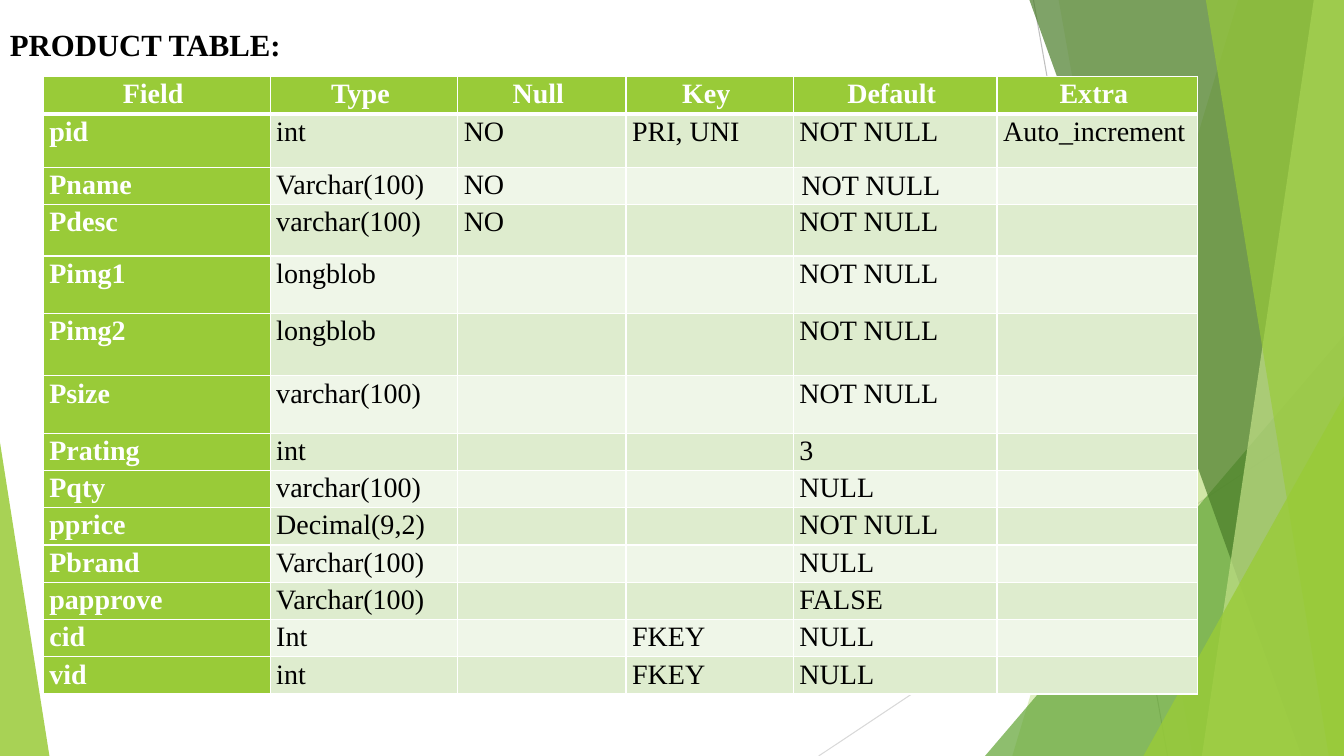
from lxml.etree import SubElement
from pptx import Presentation
from pptx.dml.color import RGBColor
from pptx.enum.shapes import MSO_CONNECTOR as CONNECTOR, MSO_SHAPE as SHAPE
from pptx.enum.text import MSO_ANCHOR as ANCHOR, PP_ALIGN as ALIGN
from pptx.oxml.ns import qn
from pptx.util import Inches, Pt

WIDTH, HEIGHT = 13.33, 7.5
FONT = "Times New Roman"
WHITE, BLACK, LIME = "FFFFFF", "000000", "99CB38"
BANDS = ["EFF6E8", "DEECCE"]

TITLE = "PRODUCT TABLE:"
HEADER = ["Field", "Type", "Null", "Key", "Default", "Extra"]
FIELDS = [
    ["pid", "int", "NO", "PRI, UNI", "NOT NULL", "Auto_increment"],
    ["Pname", "Varchar(100)", "NO", "", "", ""],
    ["Pdesc", "varchar(100)", "NO", "", "NOT NULL", ""],
    ["Pimg1", "longblob", "", "", "NOT NULL", ""],
    ["Pimg2", "longblob", "", "", "NOT NULL", ""],
    ["Psize", "varchar(100)", "", "", "NOT NULL", ""],
    ["Prating", "int", "", "", "3", ""],
    ["Pqty", "varchar(100)", "", "", "NULL", ""],
    ["pprice", "Decimal(9,2)", "", "", "NOT NULL", ""],
    ["Pbrand", "Varchar(100)", "", "", "NULL", ""],
    ["papprove", "Varchar(100)", "", "", "FALSE", ""],
    ["cid", "Int", "", "FKEY", "NULL", ""],
    ["vid", "int", "", "FKEY", "NULL", ""],
]
PNAME_DEFAULT = "NOT NULL"
COL_WIDTHS = [2.25, 1.86, 1.67, 1.66, 2.02, 1.99]
ROW_HEIGHT = 0.37
TALL_ROWS = {1: 0.53, 3: 0.51, 4: 0.57, 5: 0.62, 6: 0.57}

# x1, y1, x2, y2, colour
RAYS = [(10.25, 0, 11.58, HEIGHT, "BFBFBF"), (WIDTH, 4.03, 8.12, HEIGHT, "D9D9D9")]
# Slants: top x, bottom x. Triangles: left, top, width, apex share.
FACETS = [
    ((12.28, 10.04), LIME, 30),
    ((10.5, 11.83), LIME, 20),
    ((9.77, 3.33, 3.56, 1), "63A537", 72),
    ((10.21, 12.91), "4A7C29", 70),
    ((13.03, 11.92), "C2E088", 70),
    ((11.96, 13.18), LIME, 65),
    ((11.34, 3.93, 1.99, 1), LIME, 80),
    ((0, 4.39, 0.49, 0), LIME, 85),
]


def rgb(value):
    return RGBColor.from_string(value)


def add_ray(slide, x1, y1, x2, y2, color):
    ray = slide.shapes.add_connector(CONNECTOR.STRAIGHT, *map(Inches, (x1, y1, x2, y2)))
    ray.line.color.rgb = rgb(color)
    ray.line.width = Pt(0.75)
    SubElement(ray._element.spPr, qn("a:effectLst"))


def add_facet(slide, geometry, color, opacity):
    """Draw a slant running to the right edge, or a triangle standing on the bottom edge."""
    if len(geometry) == 2:
        top_x, bottom_x = geometry
        corners = [(WIDTH, 0), (WIDTH, HEIGHT), (bottom_x, HEIGHT)]
        builder = slide.shapes.build_freeform(Inches(top_x), 0)
        builder.add_line_segments([(Inches(x), Inches(y)) for x, y in corners])
        sp = builder.convert_to_shape()
    else:
        left, top, width, apex = geometry
        sp = slide.shapes.add_shape(
            SHAPE.ISOSCELES_TRIANGLE, *map(Inches, (left, top, width, HEIGHT - top)))
        sp.adjustments[0] = apex
    sp.shadow.inherit = False
    sp.line.fill.background()
    sp.fill.solid()
    sp.fill.fore_color.rgb = rgb(color)
    tint = sp._element.spPr.find(f"{qn('a:solidFill')}/{qn('a:srgbClr')}")
    SubElement(tint, qn("a:alpha"), val=str(opacity * 1000))


def write(tf, text, size=20, color=BLACK, bold=False):
    tf.text = text
    p = tf.paragraphs[0]
    for r in p.runs:
        r.font.name, r.font.size, r.font.bold = FONT, Pt(size), bold
        r.font.color.rgb = rgb(color)
    return p


def add_text(slide, box, text, wrap=True, **style):
    tf = slide.shapes.add_textbox(*map(Inches, box)).text_frame
    tf.word_wrap = wrap
    write(tf, text, **style)
    return tf


def add_borders(cell, row):
    tc_pr = cell._tc.get_or_add_tcPr()
    for side in "LRTB":
        under_header = (row, side) in [(0, "B"), (1, "T")]
        ln = SubElement(tc_pr, qn(f"a:ln{side}"), w=str(Pt(3 if under_header else 1)))
        SubElement(SubElement(ln, qn("a:solidFill")), qn("a:srgbClr"), val=WHITE)


def add_field_table(slide):
    rows = [HEADER] + FIELDS
    heights = [TALL_ROWS.get(i, ROW_HEIGHT) for i in range(len(rows))]
    box = (0.43, 0.76, sum(COL_WIDTHS), sum(heights))
    table = slide.shapes.add_table(len(rows), len(HEADER), *map(Inches, box)).table
    table.first_col = True
    for column, width in zip(table.columns, COL_WIDTHS):
        column.width = Inches(width)
    for i, (texts, height) in enumerate(zip(rows, heights)):
        table.rows[i].height = Inches(height)
        for j, text in enumerate(texts):
            cell = table.cell(i, j)
            is_label = i == 0 or j == 0
            cell.margin_left = Inches(0.03 if i == 0 else 0.06)
            cell.margin_right = Inches(0.1 if i == 0 else 0.03)
            cell.margin_top = cell.margin_bottom = 0
            add_borders(cell, i)
            cell.fill.solid()
            cell.fill.fore_color.rgb = rgb(LIME if is_label else BANDS[i % 2])
            p = write(cell.text_frame, text, color=WHITE if is_label else BLACK, bold=is_label)
            p.line_spacing = 1.07
            p.alignment = ALIGN.CENTER if i == 0 else ALIGN.LEFT


def main():
    prs = Presentation()
    prs.slide_width, prs.slide_height = Inches(WIDTH), Inches(HEIGHT)
    slide = prs.slides.add_slide(prs.slide_layouts[6])
    for ray in RAYS:
        add_ray(slide, *ray)
    for facet in FACETS:
        add_facet(slide, *facet)
    add_field_table(slide)
    title = add_text(slide, (0, 0.19, 2.99, 0.57), TITLE, wrap=False, size=22, bold=True)
    title.vertical_anchor = ANCHOR.TOP
    title.margin_top = Inches(0.07)
    add_text(slide, (7.85, 1.61, 1.76, 0.44), PNAME_DEFAULT)
    prs.save("out.pptx")


if __name__ == "__main__":
    main()
